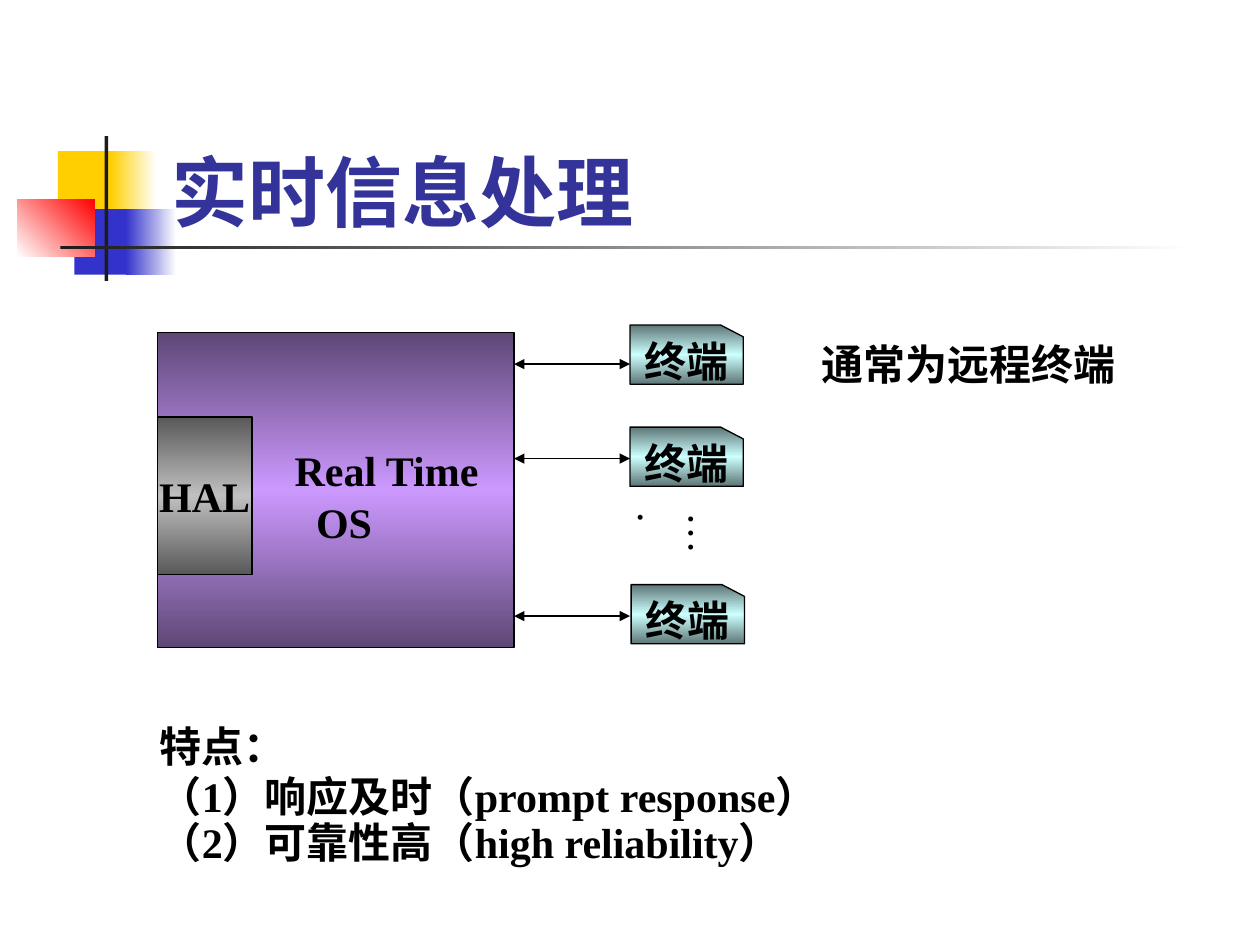
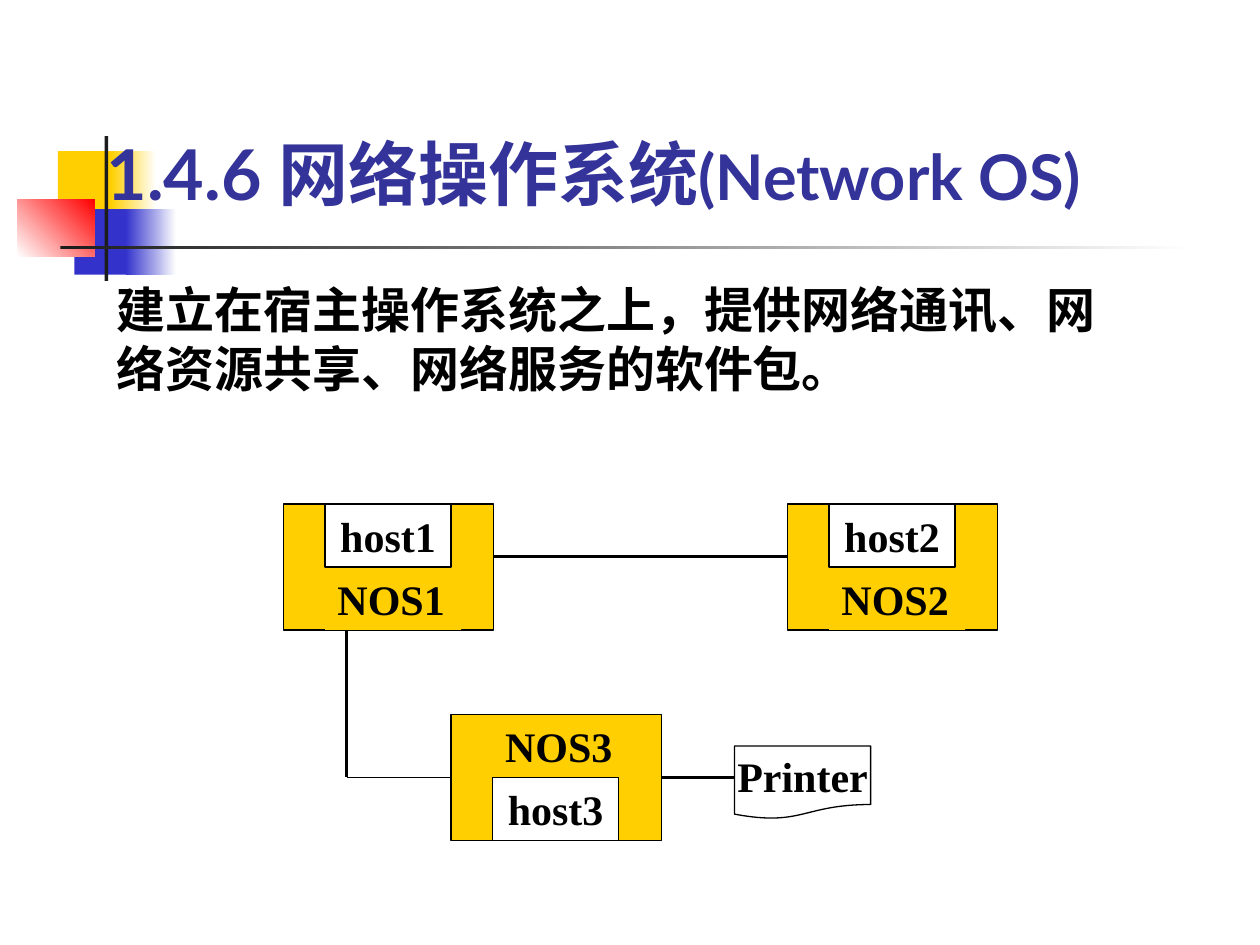
import copy

import pptx
import pptx.dml.color
import pptx.enum.shapes
import pptx.enum.text
import pptx.oxml.ns
import pptx.oxml.xmlchemy
import pptx.util
from pptx.util import Inches

SHAPE = pptx.enum.shapes.MSO_SHAPE
ALIGN = pptx.enum.text.PP_ALIGN
ANCHOR = pptx.enum.text.MSO_ANCHOR
qn = pptx.oxml.ns.qn

YELLOW, BLUE, RED = "FFCF01", "3333CC", "FF0000"
WHITE, BLACK, CHARCOAL = "FFFFFF", "000000", "1C1C1C"
TITLE_COLOR = "333399"
PURPLE_BAND = ["5E4776", "CC99FF", "5E4776"]
GRAY_BAND = ["595959", "C0C0C0", "595959"]
CYAN_BAND = ["5E7676", "CCFFFF", "5E7676"]
TITLE_FONT, BODY_FONT = "Lato", "Times New Roman"


def rgb(hex_color):
    return pptx.dml.color.RGBColor.from_string(hex_color)


# Text
def write(shape, paragraphs, size=24, bold=True, font=BODY_FONT, color=BLACK,
          align=ALIGN.LEFT, anchor=ANCHOR.TOP, wrap=True, spacing=None,
          before=0, indent=0):
    """Fill a shape; a paragraph is a string or a list of (text, size) runs.

    Spacing, space before and indent apply from the second paragraph on.
    """
    frame = shape.text_frame
    frame.word_wrap = wrap
    frame.vertical_anchor = anchor
    for index, content in enumerate(paragraphs):
        paragraph = frame.paragraphs[0] if index == 0 else frame.add_paragraph()
        paragraph.alignment = align
        if index:
            paragraph.space_before = pptx.util.Pt(before)
            if spacing:
                paragraph.line_spacing = spacing
            if indent:
                paragraph._p.get_or_add_pPr().set("indent", str(Inches(indent)))
        runs = [(content, size)] if isinstance(content, str) else content
        for text, run_size in runs:
            run = paragraph.add_run()
            run.text = text
            run.font.name = font
            run.font.size = pptx.util.Pt(run_size)
            run.font.bold = bold
            run.font.color.rgb = rgb(color)


def add_text(slide, left, top, width, height, paragraphs, **text_format):
    box = slide.shapes.add_textbox(Inches(left), Inches(top), Inches(width), Inches(height))
    write(box, paragraphs, **text_format)
    return box


# Shapes and lines
def fill_gradient(shape, colors, angle):
    """Spread the colours evenly; the angle runs counter-clockwise."""
    shape.fill.gradient()
    shape.fill.gradient_angle = angle
    stop_list = shape._element.spPr.find(qn("a:gradFill")).find(qn("a:gsLst"))
    while len(stop_list) < len(colors):
        stop_list.append(copy.deepcopy(stop_list[0]))
    for index, (stop, color) in enumerate(zip(shape.fill.gradient_stops, colors)):
        stop.position = index / (len(colors) - 1)
        stop.color.rgb = rgb(color)


def add_block(slide, left, top, width, height, fill, kind=SHAPE.RECTANGLE,
              angle=0, outlined=True):
    block = slide.shapes.add_shape(kind, Inches(left), Inches(top), Inches(width), Inches(height))
    block.shadow.inherit = False
    if isinstance(fill, list):
        fill_gradient(block, fill, angle)
    else:
        block.fill.solid()
        block.fill.fore_color.rgb = rgb(fill)
    if outlined:
        block.line.color.rgb = rgb(BLACK)
        block.line.width = pptx.util.Pt(0.75)
    else:
        block.line.fill.background()
    return block


def add_labelled_block(slide, left, top, width, height, label, fill, **block_format):
    block = add_block(slide, left, top, width, height, fill, **block_format)
    write(block, [label], align=ALIGN.CENTER, anchor=ANCHOR.MIDDLE, wrap=False)
    return block


def add_link(slide, start, end, width=1.75, arrows=False):
    link = slide.shapes.add_connector(
        pptx.enum.shapes.MSO_CONNECTOR.STRAIGHT,
        Inches(start[0]), Inches(start[1]), Inches(end[0]), Inches(end[1]))
    link.line.color.rgb = rgb(BLACK)
    link.line.width = pptx.util.Pt(width)
    properties = link._element.spPr
    if arrows:
        outline = properties.find(qn("a:ln"))
        for tag in ("a:headEnd", "a:tailEnd"):
            outline.append(outline.makeelement(qn(tag), {"type": "triangle"}))
    properties.append(properties.makeelement(qn("a:effectLst"), {}))


# Shared slide design
def start_slide(deck, title, left, top, width, size):
    slide = deck.slides.add_slide(deck.slide_layouts[6])
    decorations = [
        (0.46, 1.2, 0.48, 0.52, YELLOW, 0),
        (0.88, 1.2, 0.36, 0.52, [YELLOW, WHITE], 0),
        (0.59, 1.66, 0.46, 0.52, BLUE, 0),
        (1, 1.66, 0.4, 0.52, [BLUE, WHITE], 0),
        (0.14, 1.58, 0.61, 0.46, [WHITE, RED], 45),
        (0.83, 1.08, 0.03, 1.15, CHARCOAL, 0),
        (0.48, 1.95, 9, 0.03, [CHARCOAL, WHITE], 0),
    ]
    for *place, fill, angle in decorations:
        add_block(slide, *place, fill, angle=angle, outlined=False)
    add_text(slide, left, top, width, 1.25, [title], size=size, font=TITLE_FONT,
             color=TITLE_COLOR, anchor=ANCHOR.BOTTOM)
    return slide


# Real-time processing
def add_terminal(slide, left, top):
    terminal = add_labelled_block(slide, left, top, 0.9, 0.47, "终端", CYAN_BAND,
                                  kind=SHAPE.FLOWCHART_CARD, angle=270)
    terminal._element.spPr.find(qn("a:xfrm")).set("flipH", "1")


def build_real_time(deck):
    slide = start_slide(deck, "实时信息处理", 1.26, 0.68, 8.52, 44)
    # System with its hardware layer
    add_block(slide, 1.25, 2.64, 2.83, 2.5, PURPLE_BAND, angle=270)
    add_labelled_block(slide, 1.25, 3.31, 0.75, 1.25, "HAL", GRAY_BAND, angle=270)
    add_text(slide, 2.24, 3.48, 1.83, 0.9, ["Real Time", "OS"], before=1, indent=0.17)
    # Terminals and their links
    for link_y in (2.89, 3.64, 4.89):
        add_link(slide, (4.08, link_y), (5, link_y), width=0.75, arrows=True)
    ellipsis = add_text(slide, 5.25, 3.97, 0.6, 0.58, ["…."], bold=False)
    ellipsis.text_frame._txBody.bodyPr.set("vert", "eaVert")
    for left, top in ((5, 2.58), (5, 3.39), (5.01, 4.64)):
        add_terminal(slide, left, top)
    add_text(slide, 6.42, 2.64, 2.75, 0.5, ["通常为远程终端"])
    # Features
    features = ["特点：", "（1）响应及时（prompt response）", "（2）可靠性高（high reliability）"]
    add_text(slide, 1.17, 5.67, 7.75, 1.3, features, spacing=0.5, before=12)


# Network operating system
def add_node(slide, left, top, number, host_on_top=True):
    add_block(slide, left, top, 1.67, 1, YELLOW)
    inner_left = left + 0.33
    system, host = f"NOS{number}", f"host{number}"
    if host_on_top:
        label = add_block(slide, inner_left, top + 0.5, 1.08, 0.5, YELLOW, outlined=False)
        write(label, [system])
    else:
        add_text(slide, inner_left, top, 1.08, 0.5, [system])
    host_top = top if host_on_top else top + 0.5
    add_labelled_block(slide, inner_left, host_top, 1, 0.5, host, WHITE)


def build_network(deck):
    title = [("1.4.6 网络操作系统", 40), ("(Network OS)", 36)]
    slide = start_slide(deck, title, 0.75, 0.5, 8.5, 40)
    add_text(slide, 0.83, 2.17, 8.33, 1.03,
             ["建立在宿主操作系统之上，提供网络通讯、网络资源共享、网络服务的软件包。"], size=28)
    # Links
    add_link(slide, (2.75, 5), (2.75, 6.17))
    add_link(slide, (2.75, 6.17), (3.58, 6.17), width=0.75)
    add_link(slide, (3.92, 4.42), (6.25, 4.42))
    add_link(slide, (5.25, 6.17), (5.83, 6.17))
    # Nodes and printer
    add_node(slide, 2.25, 4, 1)
    add_node(slide, 6.25, 4, 2)
    add_node(slide, 3.58, 5.67, 3, host_on_top=False)
    add_labelled_block(slide, 5.83, 5.92, 1.08, 0.58, "Printer", WHITE,
                       kind=SHAPE.FLOWCHART_DOCUMENT)


def main():
    deck = pptx.Presentation()
    deck.slide_width, deck.slide_height = Inches(10), Inches(7.5)
    build_real_time(deck)
    build_network(deck)
    deck.save("out.pptx")


if __name__ == "__main__":
    main()
